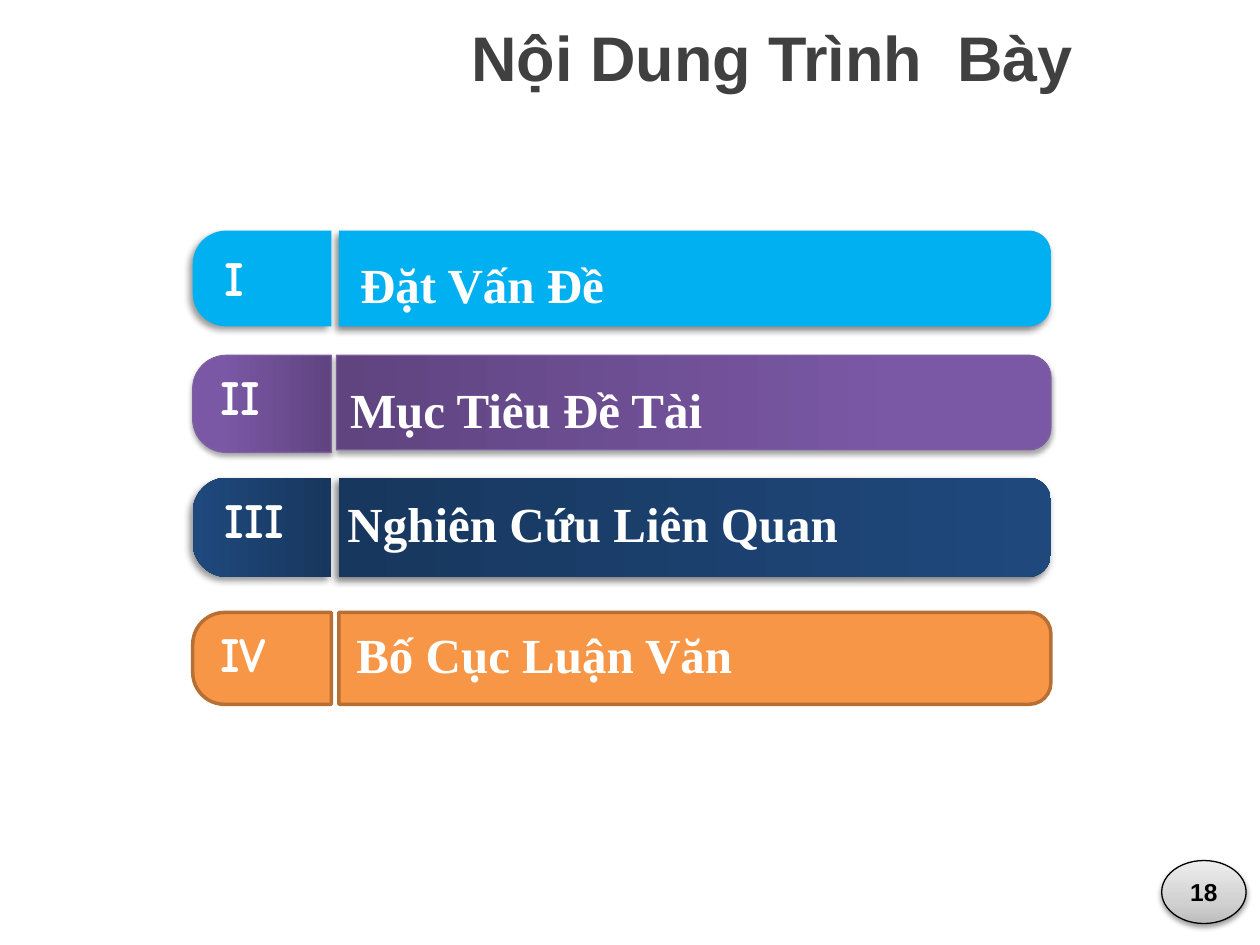
from dataclasses import dataclass

from lxml.etree import SubElement
from pptx import Presentation
from pptx.dml.color import RGBColor
from pptx.enum.shapes import MSO_SHAPE
from pptx.enum.text import MSO_ANCHOR, PP_ALIGN
from pptx.oxml.ns import qn
from pptx.util import Inches, Pt

WHITE = RGBColor(0xFF, 0xFF, 0xFF)
BLACK = RGBColor(0x00, 0x00, 0x00)
CHARCOAL = RGBColor(0x40, 0x40, 0x40)
SKY = RGBColor(0x00, 0xB0, 0xF0)
ORANGE = RGBColor(0xF7, 0x96, 0x46)
BROWN = RGBColor(0xB7, 0x6F, 0x34)
VIOLET = RGBColor(0x7D, 0x60, 0xA0)
PURPLE_STOPS = (
    (0, RGBColor(0x5F, 0x44, 0x80)),
    (80, RGBColor(0x7B, 0x58, 0xA6)),
    (100, RGBColor(0x7C, 0x57, 0xA8)),
)
NAVY_STOPS = ((0, RGBColor(0x17, 0x37, 0x5E)), (100, RGBColor(0x1F, 0x49, 0x7D)))
GREY_STOPS = (
    (0, RGBColor(0xBD, 0xBD, 0xBD)),
    (35, RGBColor(0xD1, 0xD1, 0xD1)),
    (100, RGBColor(0xEE, 0xEE, 0xEE)),
)

TAB_LEFT, TAB_WIDTH = 1.53, 1.1
BAR_RIGHT = 8.34
LABEL_HEIGHT = 0.57


@dataclass
class Shadow:
    """Describe an outer shadow in percent, points and degrees."""
    alpha: float
    blur: float
    distance: float
    angle: float


@dataclass
class Topic:
    """Describe one agenda row, with lengths in inches."""
    numeral: str
    heading: str
    top: float
    tab_height: float
    bar_height: float
    bar_left: float
    numeral_box: tuple
    heading_box: tuple
    paint: object
    outline: tuple = None
    tab_shadow: Shadow = None
    bar_shadow: Shadow = None


SIDE_TAB, SIDE_BAR = Shadow(40, 4, 3, 135), Shadow(50, 4, 3, 135)
BELOW = Shadow(35, 3.1, 1.8, 90)
TOPICS = (
    Topic("I", "Đặt Vấn Đề", 1.83, 0.76, 0.76, 2.69, (1.65, 1.91, 0.42),
          (2.76, 1.97, 4.11), SKY, None, SIDE_TAB, SIDE_BAR),
    Topic("II", "Mục Tiêu Đề Tài", 2.82, 0.77, 0.75, 2.67, (1.59, 2.86, 0.63),
          (2.68, 2.96, 4.13), PURPLE_STOPS, (VIOLET, 0.75), BELOW, BELOW),
    Topic("III", "Nghiên Cứu Liên Quan", 3.79, 0.79, 0.79, 2.69, (1.6, 3.83, 0.84),
          (2.66, 3.87, 4.67), NAVY_STOPS, None, SIDE_TAB, SIDE_BAR),
    Topic("IV", "Bố Cục Luận Văn", 4.86, 0.73, 0.73, 2.69, (1.59, 4.9, 0.68),
          (2.73, 4.91, 5.35), ORANGE, (BROWN, 2)),
)


def style_shape(shape, paint, outline, shadow):
    """Apply a solid or upward gradient fill, an outline and a shadow."""
    if isinstance(paint, RGBColor):
        shape.fill.solid()
        shape.fill.fore_color.rgb = paint
    else:
        shape.fill.gradient()
        shape.fill.gradient_angle = 90
        stops = shape._element.spPr.find(qn("a:gradFill")).find(qn("a:gsLst"))
        stops.clear()
        for position, color in paint:
            stop = SubElement(stops, qn("a:gs"), pos=str(position * 1000))
            SubElement(stop, qn("a:srgbClr"), val=str(color))
    if outline:
        shape.line.color.rgb, shape.line.width = outline[0], Pt(outline[1])
    else:
        shape.line.fill.background()
    shape.shadow.inherit = False
    if shadow:
        effects = shape._element.spPr.find(qn("a:effectLst"))
        outer = SubElement(
            effects, qn("a:outerShdw"), blurRad=str(Pt(shadow.blur)),
            dist=str(Pt(shadow.distance)), dir=str(shadow.angle * 60000),
            rotWithShape="0")
        color = SubElement(outer, qn("a:srgbClr"), val=str(BLACK))
        SubElement(color, qn("a:alpha"), val=str(shadow.alpha * 1000))


def write_text(frame, text, font_name, size, color, align):
    """Write one bold paragraph into a text frame."""
    paragraph = frame.paragraphs[0]
    paragraph.text = text
    paragraph.alignment = align
    font = paragraph.font
    font.name, font.size, font.bold = font_name, Pt(size), True
    font.color.rgb = color


def add_label(slide, box, text, font_name, size, color, align, wrap=True):
    """Place a text box in the given box."""
    frame = slide.shapes.add_textbox(*map(Inches, box)).text_frame
    frame.word_wrap = wrap
    write_text(frame, text, font_name, size, color, align)
    return frame


def add_turned_panel(slide, box, rotation, rounding):
    """Add a rectangle, rounded on one side, that fills the box once turned."""
    left, top, width, height = box
    panel = slide.shapes.add_shape(
        MSO_SHAPE.ROUND_2_SAME_RECTANGLE,
        Inches(left + (width - height) / 2), Inches(top + (height - width) / 2),
        Inches(height), Inches(width))
    panel.rotation = rotation
    panel.adjustments[0] = rounding
    panel.adjustments[1] = 0
    return panel


def add_topic(slide, topic):
    """Place the heading bar and numeral tab of one agenda row."""
    bar_box = (topic.bar_left, topic.top, BAR_RIGHT - topic.bar_left, topic.bar_height)
    bar = add_turned_panel(slide, bar_box, 90, 0.233)
    style_shape(bar, topic.paint, topic.outline, topic.bar_shadow)
    tab_box = (TAB_LEFT, topic.top, TAB_WIDTH, topic.tab_height)
    tab = add_turned_panel(slide, tab_box, 270, 0.347)
    style_shape(tab, topic.paint, topic.outline, topic.tab_shadow)
    numeral = add_label(slide, (*topic.numeral_box, LABEL_HEIGHT), topic.numeral,
                        "Comic Neue", 28, WHITE, PP_ALIGN.CENTER, wrap=False)
    numeral.vertical_anchor = MSO_ANCHOR.MIDDLE
    add_label(slide, (*topic.heading_box, LABEL_HEIGHT), topic.heading,
              "Times New Roman", 28, WHITE, PP_ALIGN.LEFT)


def add_page_badge(slide, box, number):
    """Place the oval page number in the given box."""
    badge = slide.shapes.add_shape(MSO_SHAPE.OVAL, *map(Inches, box))
    style_shape(badge, GREY_STOPS, (BLACK, 0.75), Shadow(38, 3.1, 1.6, 90))
    badge.text_frame.vertical_anchor = MSO_ANCHOR.MIDDLE
    write_text(badge.text_frame, number, "Arial", 14, BLACK, PP_ALIGN.CENTER)


def main():
    """Build the agenda slide and save it."""
    presentation = Presentation()
    presentation.slide_width, presentation.slide_height = Inches(10), Inches(7.5)
    slide = presentation.slides.add_slide(presentation.slide_layouts[6])
    add_label(slide, (2.93, 0.1, 6.4, 0.71), "Nội Dung Trình  Bày",
              "Arial", 36, CHARCOAL, PP_ALIGN.CENTER)
    for topic in TOPICS:
        add_topic(slide, topic)
    add_page_badge(slide, (9.22, 6.83, 0.67, 0.5), "18")
    presentation.save("out.pptx")


if __name__ == "__main__":
    main()
